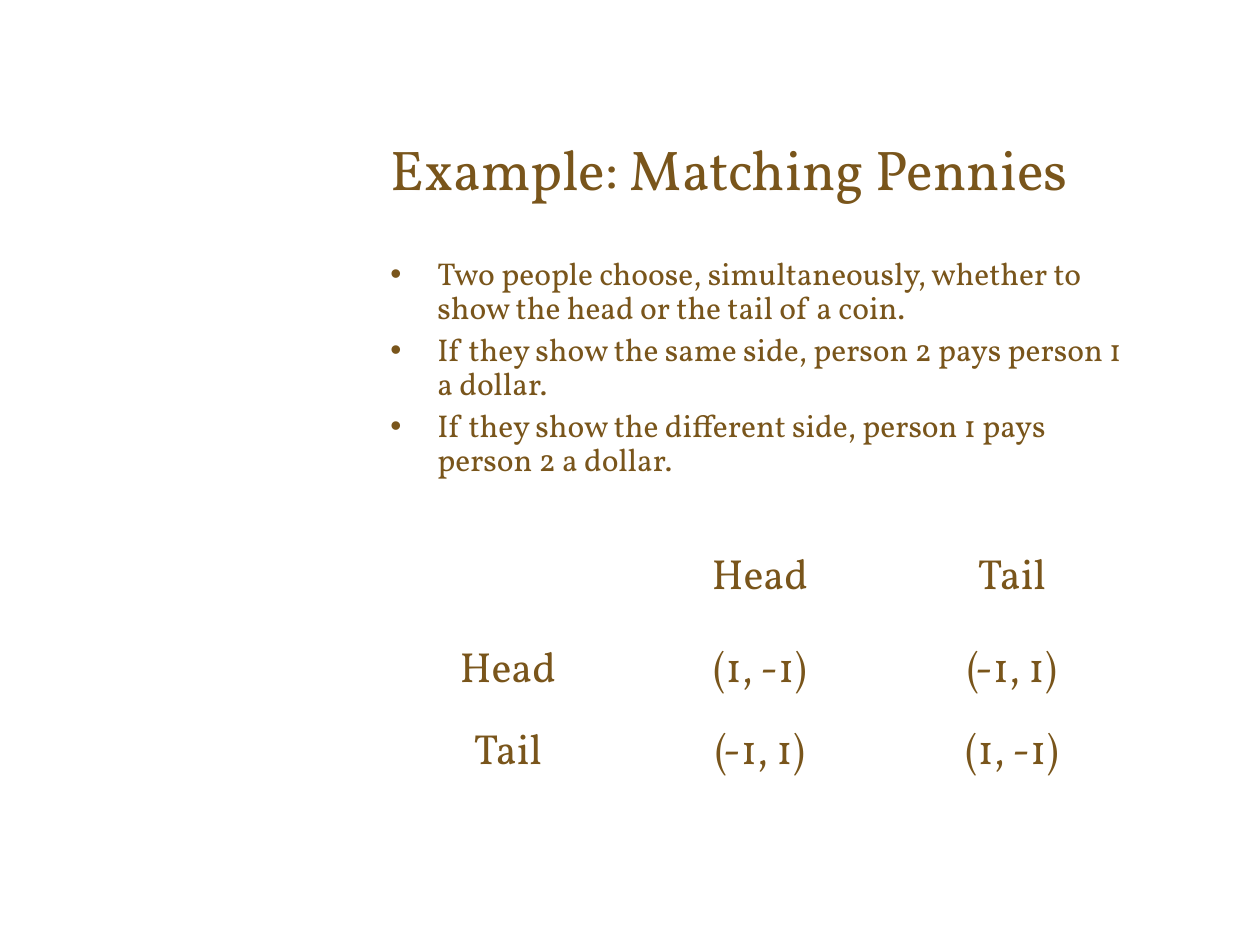
"""Build the Matching Pennies slide: title, rules and payoff table."""
from typing import NamedTuple

import lxml.etree
import pptx
import pptx.dml.color
import pptx.enum.text
import pptx.oxml.ns
import pptx.util

EMU_PER_PX = 914400 / 126
BROWN = "79551B"
WHITE = "FFFFFF"
FONT = "Vollkorn"
OUTER_LINE, INNER_LINE = 1.08, 0.45
MIDDLE = pptx.enum.text.MSO_ANCHOR.MIDDLE
TOP = pptx.enum.text.MSO_ANCHOR.TOP


class Box(NamedTuple):
    left: int
    top: int
    width: int
    height: int


TITLE_BOX = Box(378, 105, 756, 126)
RULES_BOX = Box(378, 252, 756, 257)
PAYOFF_BOX = Box(382, 532, 756, 257)
PAYOFF_ROW_HEIGHTS = [93, 93, 71]
BULLET_INDENT = 47

RULES = [
    "Two people choose, simultaneously, whether to show the head or the tail of a coin.",
    "If they show the same side, person 2 pays person 1 a dollar.",
    "If they show the different side, person 1 pays person 2 a dollar.",
]
PAYOFFS = [
    ["", "Head", "Tail"],
    ["Head", "(1, -1)", "(-1, 1)"],
    ["Tail", "(-1, 1)", "(1, -1)"],
]


def px(length: int) -> pptx.util.Emu:
    return pptx.util.Emu(round(length * EMU_PER_PX))


def color(value: str) -> pptx.dml.color.RGBColor:
    return pptx.dml.color.RGBColor.from_string(value)


def add_element(parent, tag: str, **attributes: str):
    return lxml.etree.SubElement(parent, pptx.oxml.ns.qn(tag), attributes)


def style_font(paragraph, size: int) -> None:
    paragraph.font.name = FONT
    paragraph.font.size = pptx.util.Pt(size)
    paragraph.font.color.rgb = color(BROWN)


def add_text_frame(slide, box: Box, anchor):
    frame = slide.shapes.add_textbox(*map(px, box)).text_frame
    frame.word_wrap = True
    frame.vertical_anchor = anchor
    return frame


def add_bullet(paragraph) -> None:
    properties = paragraph._p.get_or_add_pPr()
    properties.set("marL", str(px(BULLET_INDENT)))
    properties.set("indent", str(-px(BULLET_INDENT)))
    bullet_color = add_element(properties, "a:buClr")
    add_element(bullet_color, "a:srgbClr", val=BROWN)
    add_element(properties, "a:buFont", typeface="Arial")
    add_element(properties, "a:buChar", char="•")


def add_title(slide) -> None:
    title = add_text_frame(slide, TITLE_BOX, MIDDLE).paragraphs[0]
    title.text = "Example: Matching Pennies"
    style_font(title, 32)


def add_rules(slide) -> None:
    frame = add_text_frame(slide, RULES_BOX, TOP)
    for index, rule in enumerate(RULES):
        paragraph = frame.add_paragraph() if index else frame.paragraphs[0]
        paragraph.text = rule
        paragraph.line_spacing = 0.9
        if index:
            paragraph.space_before = pptx.util.Pt(4.5)
        add_bullet(paragraph)
        style_font(paragraph, 18)


def add_borders(cell, row: int, column: int) -> None:
    last = len(PAYOFFS) - 1
    outer_sides = {
        "a:lnL": column == 0,
        "a:lnR": column == last,
        "a:lnT": row == 0,
        "a:lnB": row == last,
    }
    properties = cell._tc.get_or_add_tcPr()
    for tag, is_outer in outer_sides.items():
        width = pptx.util.Pt(OUTER_LINE if is_outer else INNER_LINE)
        border = add_element(properties, tag, w=str(width))
        add_element(add_element(border, "a:solidFill"), "a:srgbClr", val=WHITE)


def add_payoffs(slide) -> None:
    table = slide.shapes.add_table(
        len(PAYOFFS), len(PAYOFFS[0]), *map(px, PAYOFF_BOX)
    ).table
    table.first_row = False
    table.horz_banding = False
    for table_row, height in zip(table.rows, PAYOFF_ROW_HEIGHTS):
        table_row.height = px(height)
    for row, labels in enumerate(PAYOFFS):
        for column, label in enumerate(labels):
            cell = table.cell(row, column)
            add_borders(cell, row, column)
            cell.fill.background()
            cell.vertical_anchor = MIDDLE
            paragraph = cell.text_frame.paragraphs[0]
            paragraph.text = label
            paragraph.alignment = pptx.enum.text.PP_ALIGN.CENTER
            style_font(paragraph, 24)


def main() -> None:
    presentation = pptx.Presentation()
    presentation.slide_width = px(1260)
    presentation.slide_height = px(945)
    slide = presentation.slides.add_slide(presentation.slide_layouts[6])
    add_title(slide)
    add_rules(slide)
    add_payoffs(slide)
    presentation.save("out.pptx")


if __name__ == "__main__":
    main()
